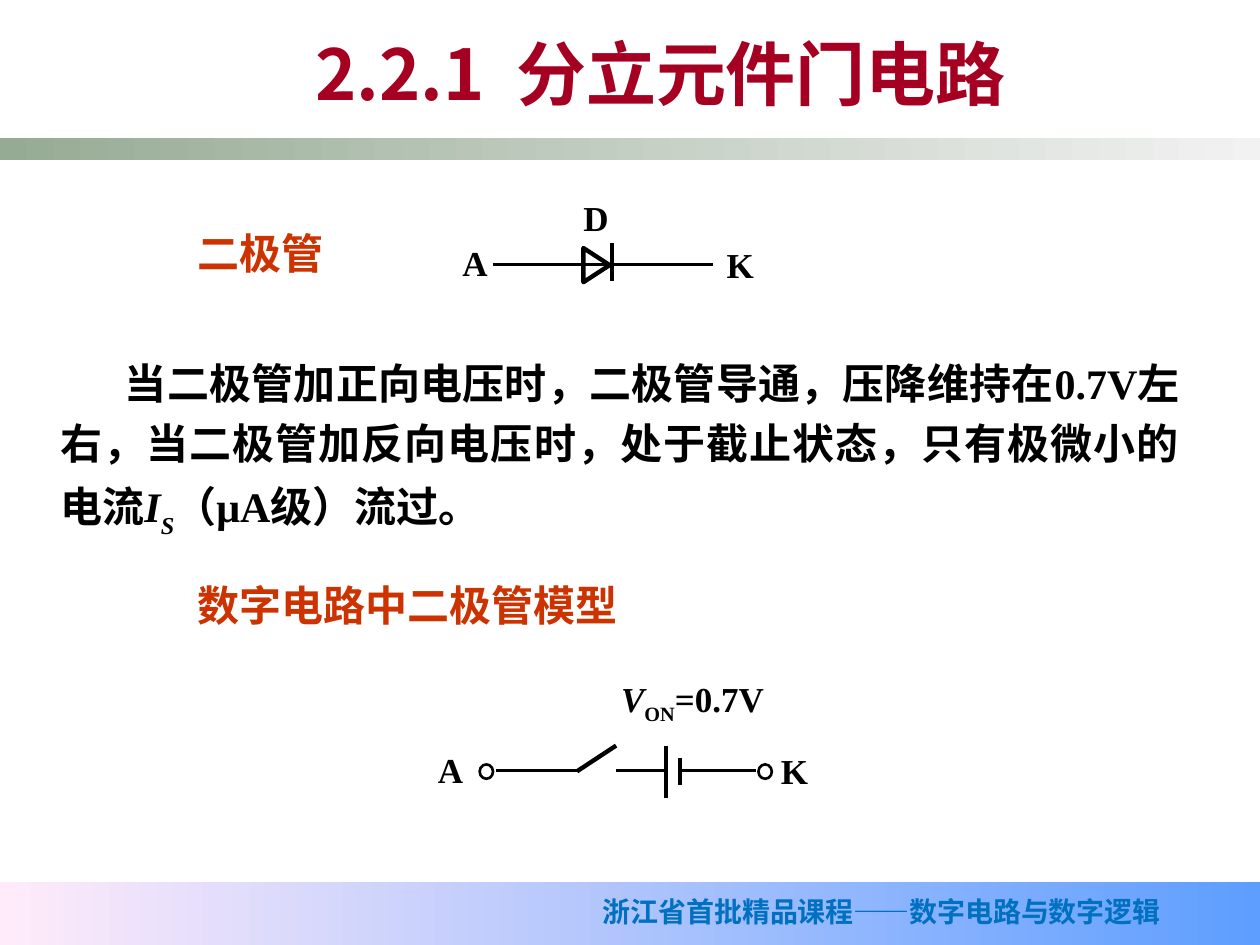
from lxml.etree import SubElement
from pptx import Presentation
from pptx.dml.color import RGBColor
from pptx.enum.shapes import MSO_CONNECTOR, MSO_SHAPE
from pptx.enum.text import MSO_ANCHOR, PP_ALIGN
from pptx.oxml.ns import qn
from pptx.util import Cm, Pt

CJK, TIMES = "Noto Sans CJK SC", "Times New Roman"
BLACK, RED, ORANGE, BLUE = "000000", "A50021", "CC3300", "0070C0"
THIN, THICK = 1.5, 2.5


def color(text):
    return RGBColor.from_string(text)


class Page:
    def __init__(self, deck):
        self.slide = deck.slides.add_slide(deck.slide_layouts[5])
        self.shapes = self.slide.shapes

    def band(self, top, height, start, end):
        """Full-width bar that fades from left to right."""
        bar = self.shapes.add_shape(MSO_SHAPE.RECTANGLE, 0, Cm(top), Cm(25.4), Cm(height))
        bar.shadow.inherit = False
        bar.line.fill.background()
        bar.fill.gradient()
        bar.fill.gradient_angle = 0
        for stop, tone in zip(bar.fill.gradient_stops, (start, end)):
            stop.color.rgb = color(tone)

    def style(self, para, size, tone, face=TIMES, align=PP_ALIGN.LEFT):
        para.alignment = align
        font = para.font
        font.size, font.bold, font.name = Pt(size), True, face
        font.color.rgb = color(tone)
        SubElement(font._rPr, qn("a:ea")).set("typeface", CJK)

    def title(self, box, text):
        shape = self.shapes.title
        shape.left, shape.top, shape.width, shape.height = map(Cm, box)
        shape.text_frame.vertical_anchor = MSO_ANCHOR.MIDDLE
        para = shape.text_frame.paragraphs[0]
        para.text = text
        self.style(para, 40, RED, CJK, PP_ALIGN.CENTER)

    def text(self, box, runs, size=24, tone=BLACK, **look):
        """Add text; each run is (text, italic, baseline in percent)."""
        frame = self.shapes.add_textbox(*map(Cm, box)).text_frame
        frame.word_wrap = True
        para = frame.paragraphs[0]
        if isinstance(runs, str):
            runs = [(runs, False, 0)]
        for words, italic, base in runs:
            run = para.add_run()
            run.text = words
            if italic:
                run.font.italic = True
            if base:
                run.font._rPr.set("baseline", str(base * 1000))
        self.style(para, size, tone, **look)
        return para

    def label(self, left, top, runs, width=1.3):
        self.text((left, top, width, 1.13), runs, 20)

    def line(self, x1, y1, x2, y2, width=THIN):
        wire = self.shapes.add_connector(MSO_CONNECTOR.STRAIGHT, *map(Cm, (x1, y1, x2, y2)))
        wire.line.width = Pt(width)
        wire.line.color.rgb = color(BLACK)
        SubElement(wire._element.spPr, qn("a:effectLst"))

    def outline(self, kind, box, width=THIN, turn=0):
        shape = self.shapes.add_shape(kind, *map(Cm, box))
        shape.shadow.inherit = False
        shape.fill.background()
        shape.line.width = Pt(width)
        shape.line.color.rgb = color(BLACK)
        shape.rotation = turn


def diode(page):
    axis = 5.33
    page.label(14.4, 4.78, "K")
    page.label(9.07, 4.75, "A")
    page.label(11.51, 3.84, "D")
    page.outline(MSO_SHAPE.ISOSCELES_TRIANGLE, (11.68, 5.08, 0.69, 0.53), THICK, 90)
    page.line(12.34, 4.9, 12.34, 5.66, THICK)
    page.line(9.93, axis, 14.38, axis)


def model(page):
    axis = 15.53
    for start, end in ((10, 11.65), (12.42, 13.45), (13.71, 15.24)):
        page.line(start, axis, end, axis)
    for x, top, foot in ((13.43, 15.03, 16.08), (13.71, 15.28, 15.82)):
        page.line(x, top, x, foot, THICK)
    page.line(11.63, 15.55, 12.42, 15.03, THICK)
    for left in (9.67, 15.29):
        page.outline(MSO_SHAPE.OVAL, (left, 15.41, 0.27, 0.29))
    page.label(8.58, 14.96, "A")
    page.label(15.49, 14.98, "K")
    page.label(12.27, 13.54, [("V", True, 0), ("ON", False, -25), ("=0.7V", False, 0)], 3.76)


def main():
    deck = Presentation()
    deck.slide_width, deck.slide_height = Cm(25.4), Cm(19.05)
    page = Page(deck)
    page.band(17.78, 1.27, "FFEBFA", "5E9EFF")
    page.band(2.79, 0.43, "96AB94", "F2F2F2")
    page.text((11.43, 17.91, 12.7, 0.94), "浙江省首批精品课程——数字电路与数字逻辑",
              16, BLUE, face=CJK, align=PP_ALIGN.CENTER)
    page.title((5.82, -0.36, 14.99, 3.66), "2.2.1  分立元件门电路")

    body = page.text((0.97, 6.88, 23.06, 4.14), [
        ("当二极管加正向电压时，二极管导通，压降维持在0.7V左右，"
         "当二极管加反向电压时，处于截止状态，只有极微小的电流", False, 0),
        ("I", True, 0), ("S", True, -30), ("（μA级）流过。", False, 0),
    ], align=PP_ALIGN.JUSTIFY)
    body.line_spacing = 1.2
    body._p.get_or_add_pPr().set("indent", str(Cm(1.3)))

    page.text((3.73, 4.47, 3.61, 1.27), "二极管", tone=ORANGE)
    head = page.text((3.73, 11.35, 9.37, 1.47), "数字电路中二极管模型", tone=ORANGE)
    head.line_spacing = 1.2
    diode(page)
    model(page)
    deck.save("out.pptx")


if __name__ == "__main__":
    main()
